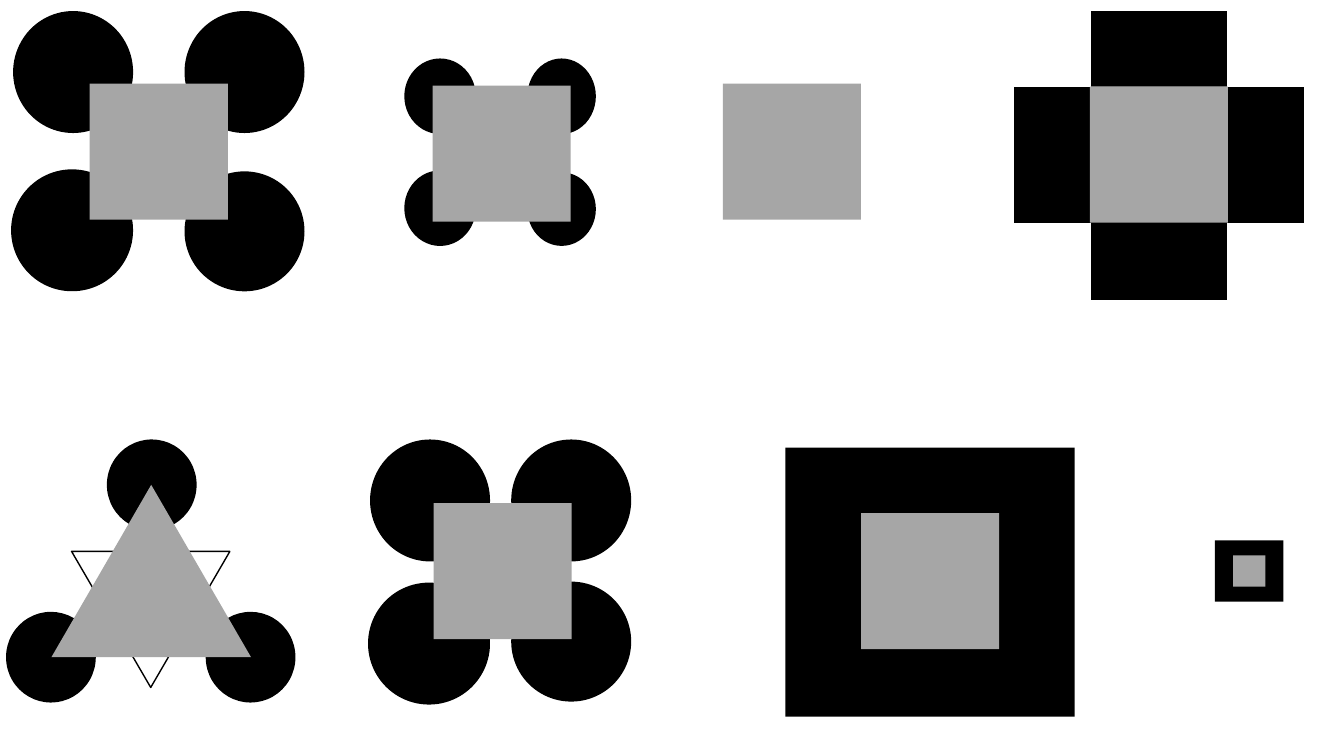
from pptx import Presentation
from pptx.dml.color import RGBColor
from pptx.enum.dml import MSO_PATTERN as PATTERN
from pptx.enum.shapes import MSO_SHAPE as SHAPE
from pptx.util import Inches, Pt

COLORS = {"black": "000000", "gray": "A6A6A6", "white": "FFFFFF"}
SQUARE = (1.37, 1.35)
BAR = (2.87, 1.35)

presentation = Presentation()
presentation.slide_width = Inches(13.33)
presentation.slide_height = Inches(7.5)
slide = presentation.slides.add_slide(presentation.slide_layouts[6])


def rgb(name):
    return RGBColor.from_string(COLORS[name])


def add_figure(parent, kind, left, top, size, fill=None, pattern=None, line=None, rotation=0):
    shape = parent.shapes.add_shape(kind, *(Inches(value) for value in (left, top, *size)))
    shape.shadow.inherit = False
    shape.rotation = rotation
    if pattern:
        shape.fill.patterned()
        shape.fill.pattern = pattern
        shape.fill.fore_color.rgb = rgb("black")
        shape.fill.back_color.rgb = rgb("white")
    elif fill:
        shape.fill.solid()
        shape.fill.fore_color.rgb = rgb(fill)
    else:
        shape.fill.background()
    if line:
        shape.line.color.rgb = rgb(line)
        shape.line.width = Pt(1)
    else:
        shape.line.fill.background()


# Upright bar of the cross
add_figure(slide, SHAPE.RECTANGLE, 10.05, 0.87, BAR, pattern=PATTERN.DARK_VERTICAL, rotation=90)

# Triangle over three discs
triangle = slide.shapes.add_group_shape()
for left, top in [(0.06, 6.07), (2.04, 6.07), (1.06, 4.36)]:
    add_figure(triangle, SHAPE.OVAL, left, top, (0.89, 0.9), fill="black")
add_figure(triangle, SHAPE.ISOSCELES_TRIANGLE, 0.71, 5.47, (1.57, 1.35), line="black", rotation=180)
add_figure(triangle, SHAPE.ISOSCELES_TRIANGLE, 0.51, 4.81, (1.98, 1.71), fill="gray")

# Squares over four discs: square corner, then each disc's left, top and size
disc_squares = [
    ((4.3, 4.99), [(3.67, 4.36, 1.19, 1.21), (5.07, 4.36, 1.19, 1.21),
                   (3.65, 5.78, 1.21, 1.21), (5.07, 5.77, 1.19, 1.19)]),
    ((0.89, 0.83), [(0.13, 0.11, 1.19, 1.21), (1.83, 0.11, 1.19, 1.21),
                    (0.11, 1.68, 1.21, 1.21), (1.83, 1.7, 1.19, 1.19)]),
    ((4.29, 0.85), [(4.01, 0.58, 0.71, 0.75), (5.23, 0.58, 0.68, 0.75),
                    (4.01, 1.69, 0.71, 0.75), (5.23, 1.71, 0.68, 0.73)]),
]
for corner, discs in disc_squares:
    group = slide.shapes.add_group_shape()
    for left, top, width, height in discs:
        add_figure(group, SHAPE.OVAL, left, top, (width, height), fill="black")
    add_figure(group, SHAPE.RECTANGLE, *corner, SQUARE, fill="gray")

# Large framed square
frame = slide.shapes.add_group_shape()
add_figure(frame, SHAPE.RECTANGLE, 7.79, 4.44, (2.87, 2.67), fill="black")
add_figure(frame, SHAPE.RECTANGLE, 8.54, 5.09, SQUARE, fill="gray")

# Small framed square
add_figure(slide, SHAPE.RECTANGLE, 12.05, 5.36, (0.68, 0.61), fill="black")
add_figure(slide, SHAPE.RECTANGLE, 12.23, 5.51, (0.32, 0.31), fill="gray")

# Plain square
add_figure(slide, SHAPE.RECTANGLE, 7.17, 0.83, SQUARE, fill="gray")

# Level bar and centre of the cross
add_figure(slide, SHAPE.RECTANGLE, 10.06, 0.86, BAR, pattern=PATTERN.DARK_HORIZONTAL)
add_figure(slide, SHAPE.RECTANGLE, 10.81, 0.86, SQUARE, fill="gray")

presentation.save("out.pptx")
